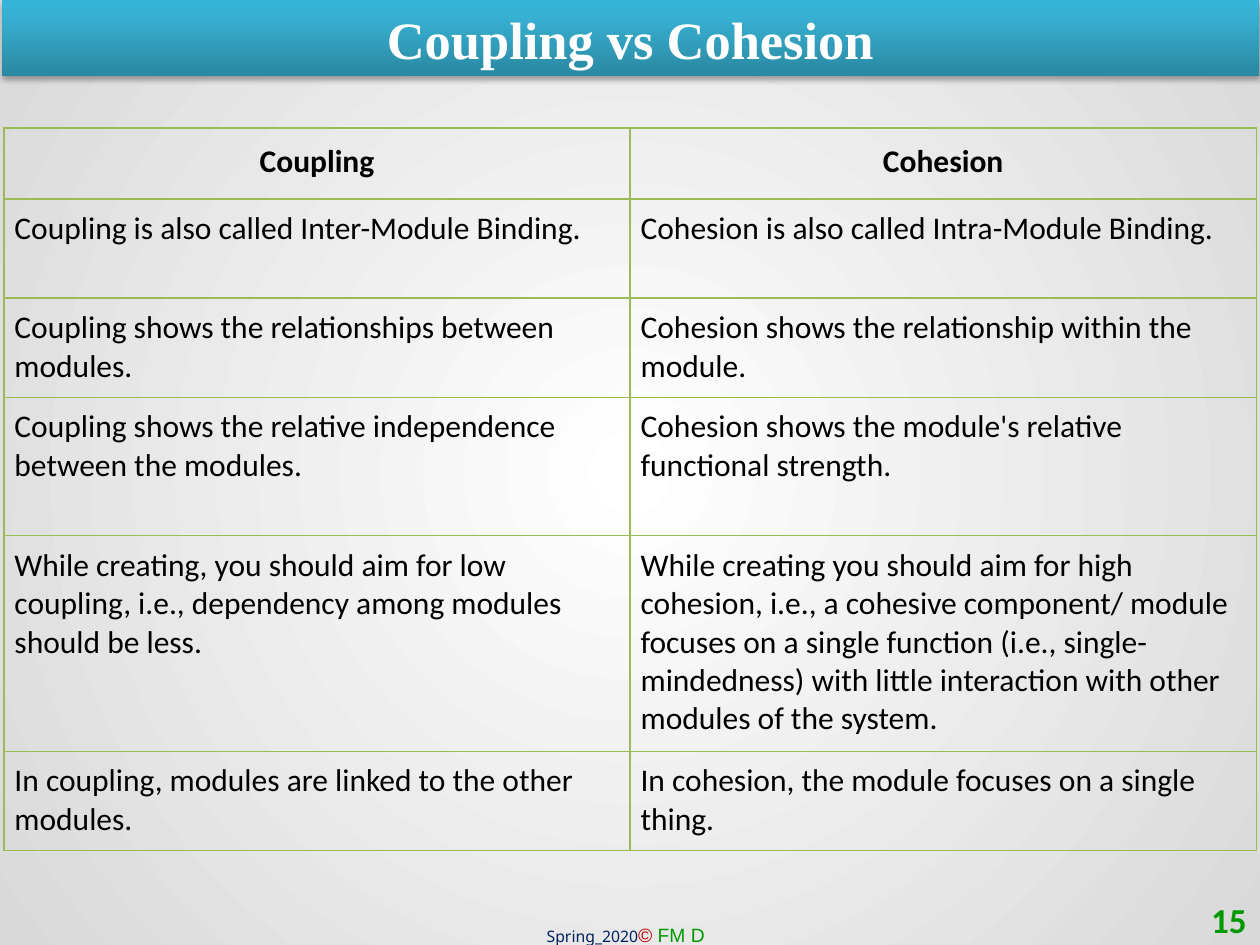
from lxml.etree import SubElement
from pptx import Presentation
from pptx.dml.color import RGBColor
from pptx.enum.shapes import MSO_SHAPE
from pptx.enum.text import MSO_ANCHOR, PP_ALIGN
from pptx.oxml.ns import qn
from pptx.util import Pt


def color(value):
    return RGBColor.from_string(value)


def write(paragraph, text, font="Calibri", size=18, ink="000000",
          bold=False, italic=False, align=None):
    run = paragraph.add_run()
    run.text = text
    run.font.name, run.font.size = font, Pt(size)
    run.font.bold, run.font.italic = bold, italic
    run.font.color.rgb = color(ink)
    if align is not None:
        paragraph.alignment = align


def add_color(parent, value):
    return SubElement(parent, qn("a:srgbClr"), val=value)


def set_gradient(owner, fill, stops):
    """Give the fill its stops and return the element for its direction."""
    fill.gradient()
    gradient = owner.find(".//" + qn("a:gradFill"))
    for child in list(gradient):
        gradient.remove(child)
    stop_list = SubElement(gradient, qn("a:gsLst"))
    for position, value in stops:
        add_color(SubElement(stop_list, qn("a:gs"), pos=str(position * 1000)), value)
    return gradient


class ComparisonSlide:
    border = "9BBB59"
    green = "009900"

    def __init__(self, deck):
        self.slide = deck.slides.add_slide(deck.slide_layouts[6])

    def background(self, center, edge):
        gradient = set_gradient(self.slide._element, self.slide.background.fill,
                                [(0, center), (100, edge)])
        circle = SubElement(gradient, qn("a:path"), path="circle")
        SubElement(circle, qn("a:fillToRect"),
                   {side: "50000" for side in "ltrb"})

    def banner(self, text, left, top, width, height, stops):
        bar = self.slide.shapes.add_shape(
            MSO_SHAPE.RECTANGLE, Pt(left), Pt(top), Pt(width), Pt(height))
        properties = bar._element.spPr
        gradient = set_gradient(properties, bar.fill, stops)
        SubElement(gradient, qn("a:lin"), ang=str(270 * 60000), scaled="0")
        bar.line.fill.background()
        bar.shadow.inherit = False
        shadow = SubElement(properties.find(qn("a:effectLst")), qn("a:outerShdw"),
                            blurRad=str(Pt(3.1)), dist=str(Pt(1.8)),
                            dir=str(90 * 60000), rotWithShape="0")
        SubElement(add_color(shadow, "000000"), qn("a:alpha"), val="35000")
        bar.text_frame.vertical_anchor = MSO_ANCHOR.MIDDLE
        write(bar.text_frame.paragraphs[0], text, font="Times New Roman", size=30,
              ink="FFFFFF", bold=True, align=PP_ALIGN.CENTER)

    def label(self, pieces, left, top, width, height, wrap=True,
              anchor=MSO_ANCHOR.TOP):
        frame = self.slide.shapes.add_textbox(
            Pt(left), Pt(top), Pt(width), Pt(height)).text_frame
        frame.word_wrap = wrap
        frame.vertical_anchor = anchor
        for text, style in pieces:
            write(frame.paragraphs[0], text, **style)

    def table(self, rows, left, top, width, heights):
        columns = len(rows[0])
        grid = self.slide.shapes.add_table(
            len(rows), columns, Pt(left), Pt(top), Pt(width), Pt(sum(heights))).table
        grid.first_row = grid.horz_banding = False
        for column in grid.columns:
            column.width = Pt(width / columns)
        for index, (texts, height) in enumerate(zip(rows, heights)):
            grid.rows[index].height = Pt(height)
            for place, text in enumerate(texts):
                self.cell(grid.cell(index, place), text, header=index == 0)

    def cell(self, cell, text, header):
        inset = Pt(8.5 if header else 6)
        cell.margin_left = cell.margin_right = inset
        cell.margin_top = cell.margin_bottom = inset
        properties = cell._tc.get_or_add_tcPr()
        for side in "LRTB":
            edge = SubElement(properties, qn(f"a:ln{side}"), w=str(Pt(1)))
            add_color(SubElement(edge, qn("a:solidFill")), self.border)
        cell.fill.background()
        write(cell.text_frame.paragraphs[0], text, bold=header,
              align=PP_ALIGN.CENTER if header else PP_ALIGN.LEFT)


COMPARISON = [
    ("Coupling", "Cohesion"),
    ("Coupling is also called Inter-Module Binding.",
     "Cohesion is also called Intra-Module Binding."),
    ("Coupling shows the relationships between modules.",
     "Cohesion shows the relationship within the module."),
    ("Coupling shows the relative independence between the modules.",
     "Cohesion shows the module's relative functional strength."),
    ("While creating, you should aim for low coupling, i.e., dependency among "
     "modules should be less.",
     "While creating you should aim for high cohesion, i.e., a cohesive component/ "
     "module focuses on a single function (i.e., single-mindedness) with little "
     "interaction with other modules of the system."),
    ("In coupling, modules are linked to the other modules.",
     "In cohesion, the module focuses on a single thing."),
]


def main():
    deck = Presentation()
    deck.slide_width, deck.slide_height = Pt(720), Pt(540)
    page = ComparisonSlide(deck)
    page.background("FFFFFF", "D9D9D9")

    # Footer
    page.label([
        ("Spring_2020", dict(font="Noto Sans", size=9, ink="002060")),
        ("© ", dict(font="Arial", size=11, ink="C00000", italic=True)),
        ("FM D", dict(font="Arial", size=11, ink=page.green)),
    ], 305.3, 524.2, 108.7, 20.6, wrap=False)

    # Title
    page.banner("Coupling vs Cohesion", 1, 0, 718.5, 43.6,
                [(0, "2A88A2"), (80, "37B1D2"), (100, "34B4D6")])

    # Slide number
    page.label([("15", dict(size=20, ink=page.green, bold=True,
                            align=PP_ALIGN.RIGHT))],
               551.5, 511.2, 168, 28.8, anchor=MSO_ANCHOR.MIDDLE)

    # Comparison table
    page.table(COMPARISON, 2.3, 73.2, 715.6, [40.4, 56.8, 56.8, 79, 123.2, 56.8])

    deck.save("out.pptx")


if __name__ == "__main__":
    main()
